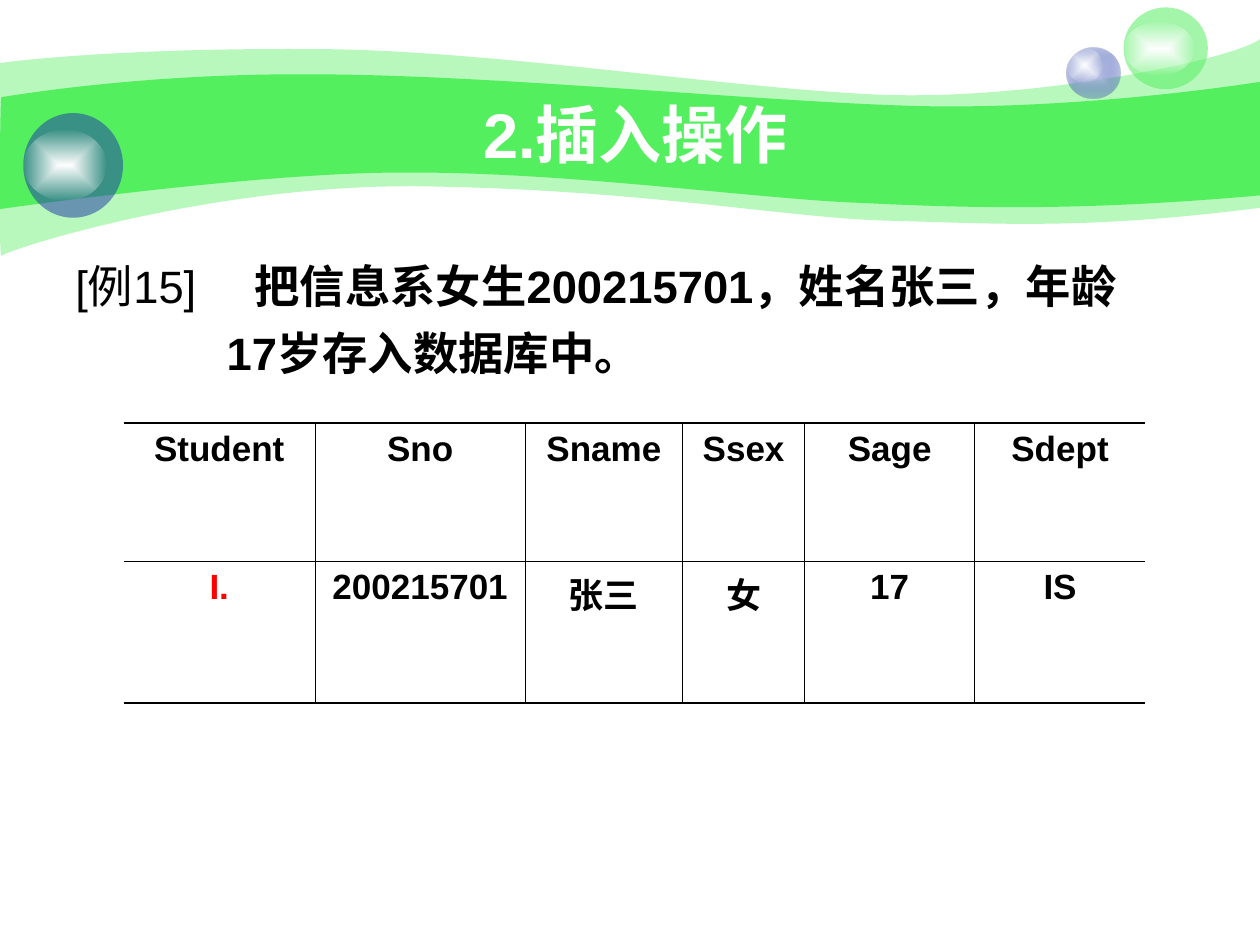
import pptx
import pptx.dml.color
import pptx.enum.shapes
import pptx.enum.text
import pptx.oxml
import pptx.oxml.ns
import pptx.util
from lxml import etree

Cm = pptx.util.Cm
Pt = pptx.util.Pt
RGBColor = pptx.dml.color.RGBColor
ALIGN = pptx.enum.text.PP_ALIGN
ANCHOR = pptx.enum.text.MSO_ANCHOR
qn = pptx.oxml.ns.qn

GREEN = RGBColor(0x53, 0xEF, 0x5E)
BLUE = RGBColor(0x23, 0x3D, 0xA9)
PALE_BLUE = RGBColor(0xC7, 0xCE, 0xE9)
WHITE = RGBColor(0xFF, 0xFF, 0xFF)
BLACK = RGBColor(0, 0, 0)
RED = RGBColor(0xFF, 0, 0)
FONT = "Arial"

# Waves in cm: a start point, then curves (three points) or lines (one point)
PALE_WAVE = ((0, 1.27), [
    [(0.61, 1.19), (2.72, 0.97), (6.27, 0.99)],
    [(9.8, 0.99), (14.61, 1.78), (17.75, 1.91)],
    [(20.88, 2.03), (24.89, 1.19), (25.4, 0.79)],
    [(25.4, 4.19)],
    [(21.79, 4.65), (19.99, 4.5), (17.91, 4.45)],
    [(15.8, 4.39), (13.08, 3.84), (8.71, 3.76)],
    [(4.37, 3.66), (0.1, 5.05), (0.03, 5.16)],
    [(-0.03, 5.28), (0, 1.91), (0, 1.27)],
])
GREEN_WAVE = ((0.03, 1.96), [
    [(0.05, 1.96), (2.79, 1.47), (6.3, 1.5)],
    [(9.8, 1.5), (15.11, 2.03), (18.24, 2.13)],
    [(21.36, 2.24), (24.79, 1.75), (25.4, 1.65)],
    [(25.4, 3.94)],
    [(21.67, 4.27), (19.43, 4.19), (17.32, 4.09)],
    [(15.21, 4.01), (11.35, 3.45), (8.05, 3.48)],
    [(5.16, 3.48), (-0.05, 4.22), (-0.03, 4.22)],
    [(0, 4.22), (0, 1.96), (0.03, 1.96)],
])

COLUMN_WIDTHS = [3.86, 4.24, 3.17, 2.46, 3.43, 3.44]
ROW_HEIGHTS = [2.79, 2.85]
STUDENT_ROWS = [
    ["Student", "Sno", "Sname", "Ssex", "Sage", "Sdept"],
    ["I.", "200215701", "张三", "女", "17", "IS"],
]
THICK, THIN = 1.08, 0.45


def paint(shape, color, alpha=100):
    """Plain fill without outline or shadow."""
    shape.shadow.inherit = False
    shape.line.fill.background()
    shape.fill.solid()
    shape.fill.fore_color.rgb = color
    if alpha < 100:
        node = shape._element.spPr.find(".//" + qn("a:srgbClr"))
        etree.SubElement(node, qn("a:alpha"), val=str(alpha * 1000))


def paint_glow(shape, center, edge, edge_alpha):
    """Gradient from the centre to a see-through edge."""
    paint(shape, center)
    gradient = pptx.oxml.parse_xml(
        '<a:gradFill xmlns:a="http://schemas.openxmlformats.org/drawingml/2006/main"'
        ' rotWithShape="1"><a:gsLst>'
        f'<a:gs pos="0"><a:srgbClr val="{center}"/></a:gs>'
        f'<a:gs pos="100000"><a:srgbClr val="{edge}">'
        f'<a:alpha val="{edge_alpha * 1000}"/></a:srgbClr></a:gs></a:gsLst>'
        '<a:path path="rect"><a:fillToRect l="50000" t="50000" r="50000" b="50000"/>'
        '</a:path></a:gradFill>')
    properties = shape._element.spPr
    properties.replace(properties.find(qn("a:solidFill")), gradient)


def add_wave(page, wave, color, alpha=100):
    """Outline through all points, whose triples are then made into curves."""
    start, segments = wave
    builder = page.shapes.build_freeform(Cm(start[0]), Cm(start[1]))
    builder.add_line_segments([(Cm(x), Cm(y)) for segment in segments for x, y in segment],
                              close=True)
    shape = builder.convert_to_shape()
    lines = iter(list(shape._element.iter(qn("a:lnTo"))))
    for segment in segments:
        parts = [next(lines) for _ in segment]
        if len(parts) == 3:
            curve = etree.Element(qn("a:cubicBezTo"))
            parts[0].addprevious(curve)
            for part in parts:
                curve.append(part[0])
                part.getparent().remove(part)
    paint(shape, color, alpha)


def add_bubble(page, ball, glint, color, alpha, center=None):
    """A ball with a white glint; center makes the ball a gradient."""
    group = page.shapes.add_group_shape()
    oval = pptx.enum.shapes.MSO_SHAPE.OVAL
    body, shine = [group.shapes.add_shape(oval, *map(Cm, place)) for place in (ball, glint)]
    if center is None:
        paint(body, color, alpha)
    else:
        paint_glow(body, center, color, alpha)
    paint_glow(shine, WHITE, WHITE, 0)


def write(para, text, size, color=BLACK, bold=False, align=None):
    if align is not None:
        para.alignment = align
    span = para.add_run()
    span.text = text
    span.font.name = FONT
    span.font.size = Pt(size)
    span.font.bold = bold
    span.font.color.rgb = color


def add_text_box(page, place, anchor):
    frame = page.shapes.add_textbox(*map(Cm, place)).text_frame
    frame.word_wrap = True
    frame.vertical_anchor = anchor
    return frame


def add_example(page):
    frame = add_text_box(page, (1.27, 5.08, 23.24, 3.05), ANCHOR.TOP)
    first, second = frame.paragraphs[0], frame.add_paragraph()
    second.space_before = Pt(7)
    tabs = etree.SubElement(first._p.get_or_add_pPr(), qn("a:tabLst"))
    etree.SubElement(tabs, qn("a:tab"), pos=str(Cm(3.61)), algn="l")
    second._p.get_or_add_pPr().set("marL", str(Cm(3.05)))
    write(first, "[例15]\t", 25.9, align=ALIGN.JUSTIFY)
    write(first, "把信息系女生200215701，姓名张三，年龄", 25.9, bold=True)
    write(second, "17岁存入数据库中。", 25.9, bold=True, align=ALIGN.JUSTIFY)


def set_border(cell, side, width):
    line = etree.SubElement(cell._tc.get_or_add_tcPr(), qn("a:ln" + side),
                            w=str(Pt(width)))
    if width:
        fill = etree.SubElement(line, qn("a:solidFill"))
        etree.SubElement(fill, qn("a:srgbClr"), val=str(BLACK))
    else:
        etree.SubElement(line, qn("a:noFill"))


def add_student_table(page):
    rows, columns = len(ROW_HEIGHTS), len(COLUMN_WIDTHS)
    table = page.shapes.add_table(rows, columns, Cm(2.49), Cm(8.53),
                                  Cm(sum(COLUMN_WIDTHS)), Cm(sum(ROW_HEIGHTS))).table
    table.first_row = table.horz_banding = False
    for column, width in zip(table.columns, COLUMN_WIDTHS):
        column.width = Cm(width)
    for r, values in enumerate(STUDENT_ROWS):
        table.rows[r].height = Cm(ROW_HEIGHTS[r])
        for c, value in enumerate(values):
            cell = table.cell(r, c)
            set_border(cell, "L", THIN if c else 0)
            set_border(cell, "R", THIN if c < columns - 1 else 0)
            set_border(cell, "T", THIN if r else THICK)
            set_border(cell, "B", THIN if r < rows - 1 else THICK)
            cell.fill.background()
            write(cell.text_frame.paragraphs[0], value, 20, bold=True, align=ALIGN.CENTER,
                  color=RED if value == "I." else BLACK)


def main():
    deck = pptx.Presentation()
    deck.slide_width, deck.slide_height = Cm(25.4), Cm(19.05)
    page = deck.slides.add_slide(deck.slide_layouts[6])

    # Banner
    add_wave(page, PALE_WAVE, GREEN, 41)
    add_wave(page, GREEN_WAVE, GREEN)
    add_bubble(page, (21.51, 0.97, 1.07, 1.02), (21.51, 0.97, 0.71, 0.69), BLUE, 31, PALE_BLUE)
    add_bubble(page, (22.65, 0.15, 1.7, 1.65), (22.65, 0.43, 1.42, 1.09), GREEN, 53)
    add_bubble(page, (0.47, 2.28, 2.01, 2.11), (0.47, 2.62, 1.68, 1.42), BLUE, 53)

    # Title, example and table
    title = add_text_box(page, (2.55, 1.91, 20.52, 1.57), ANCHOR.MIDDLE)
    write(title.paragraphs[0], "2.插入操作", 36, color=WHITE, bold=True, align=ALIGN.CENTER)
    add_example(page)
    add_student_table(page)

    deck.save("out.pptx")


if __name__ == "__main__":
    main()
